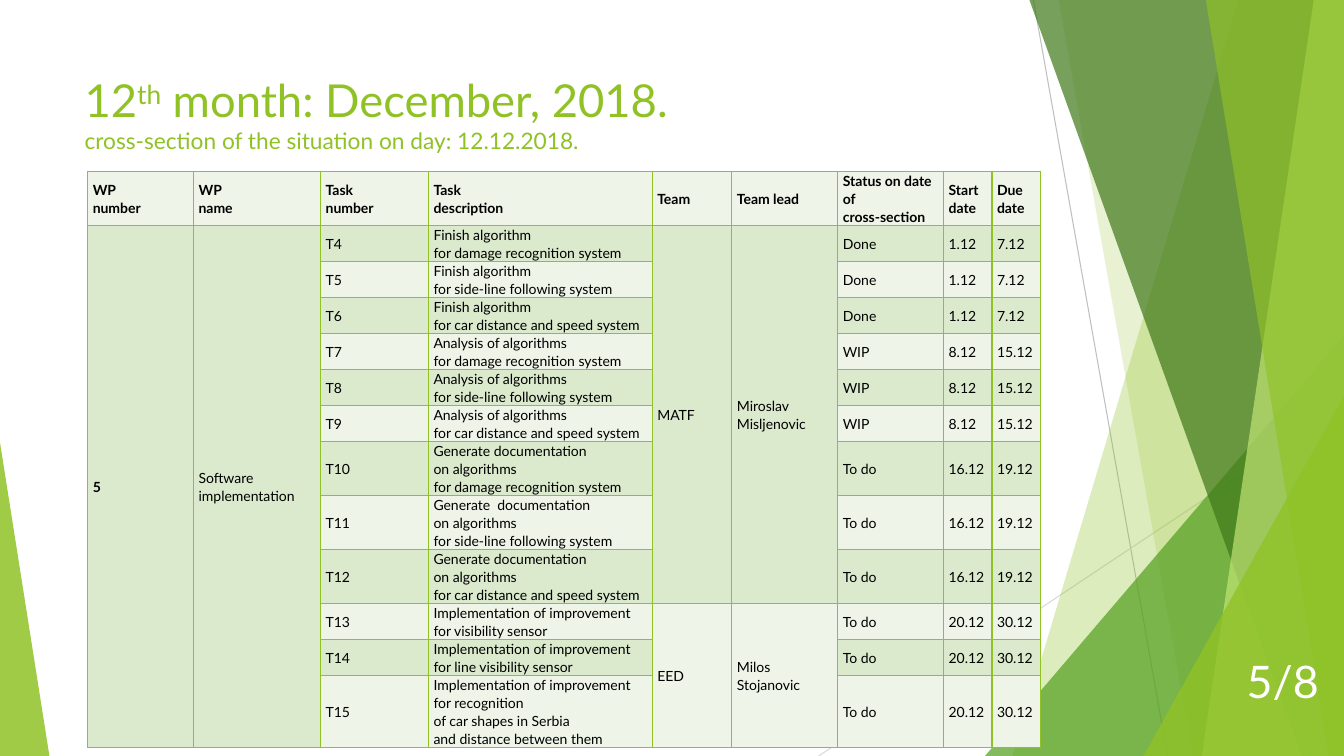
import pptx
import pptx.util
import pptx.dml.color
import pptx.enum.shapes
import pptx.enum.text
import lxml.etree

Inches, Pt = pptx.util.Inches, pptx.util.Pt
Color = pptx.dml.color.RGBColor
Shape = pptx.enum.shapes.MSO_SHAPE
Anchor = pptx.enum.text.MSO_ANCHOR
Align = pptx.enum.text.PP_ALIGN

LIME = Color(0x90, 0xC2, 0x26)
GREEN = Color(0x54, 0xA0, 0x21)
FOREST = Color(0x3F, 0x78, 0x19)
PALE = Color(0xC0, 0xE4, 0x74)
GREY = Color(0xBF, 0xBF, 0xBF)
SILVER = Color(0xD9, 0xD9, 0xD9)
WHITE = Color(0xFF, 0xFF, 0xFF)
BLACK = Color(0, 0, 0)
LIGHT = Color(0xEE, 0xF4, 0xE8)
TINT = Color(0xDB, 0xE9, 0xCD)

FONT = "Lato"
WIDE, HIGH = 13.33, 7.5

RAYS = [(10.25, 0, 11.58, HIGH, GREY), (WIDE, 4.03, 8.12, HIGH, SILVER)]
DECOR = [
    ("band", 12.28, 10.04, LIME, 30),
    ("band", 10.5, 11.83, LIME, 20),
    ("peak", 9.77, 3.33, 3.56, 1, GREEN, 72),
    ("band", 10.21, 12.91, FOREST, 70),
    ("band", 13.03, 11.92, PALE, 70),
    ("band", 11.96, 13.18, LIME, 65),
    ("peak", 11.34, 3.93, 1.99, 1, LIME, 80),
    ("peak", 0, 4.39, 0.49, 0, LIME, 85),
]

TITLE = [
    [("12", 32.4, 0), ("th", 32.4, 30000), (" month: December, 2018.", 32.4, 0)],
    [("cross-section of the situation on day: 12.12.2018.", 16.2, 0)],
]
PAGE = "5/8"

HEAD = ["WP\nnumber", "WP\nname", "Task\nnumber", "Task\ndescription", "Team",
        "Team lead", "Status on date of\ncross-section", "Start date", "Due date"]
COLS = [1.05, 1.26, 1.07, 2.22, 0.79, 1.05, 1.05, 0.48, 0.48]
LINES = [3] + [2] * 6 + [3] * 3 + [2, 2, 4]
DEPTH = 5.7
FIRST = 4
TASKS = [
    ("Finish algorithm\nfor damage recognition system", "Done", "1.12", "7.12"),
    ("Finish algorithm\nfor side-line following system", "Done", "1.12", "7.12"),
    ("Finish algorithm\nfor car distance and speed system", "Done", "1.12", "7.12"),
    ("Analysis of algorithms\nfor damage recognition system", "WIP", "8.12", "15.12"),
    ("Analysis of algorithms\nfor side-line following system", "WIP", "8.12", "15.12"),
    ("Analysis of algorithms\nfor car distance and speed system", "WIP", "8.12", "15.12"),
    ("Generate documentation\non algorithms\nfor damage recognition system",
     "To do", "16.12", "19.12"),
    ("Generate  documentation\non algorithms\nfor side-line following system",
     "To do", "16.12", "19.12"),
    ("Generate documentation\non algorithms\nfor car distance and speed system",
     "To do", "16.12", "19.12"),
    ("Implementation of improvement for visibility sensor", "To do", "20.12", "30.12"),
    ("Implementation of improvement for line visibility sensor", "To do", "20.12", "30.12"),
    ("Implementation of improvement for recognition\nof car shapes in Serbia\n"
     "and distance between them", "To do", "20.12", "30.12"),
]
SPANS = [
    (1, 12, 0, "5"),
    (1, 12, 1, "Software implementation"),
    (1, 9, 4, "MATF"),
    (1, 9, 5, "Miroslav\nMisljenovic"),
    (10, 12, 4, "EED"),
    (10, 12, 5, "Milos Stojanovic"),
]


def style(run, size, color, bold=False):
    run.font.name = FONT
    run.font.size = Pt(size)
    run.font.color.rgb = color
    run.font.bold = bold


def child(node, tag, **attrs):
    return lxml.etree.SubElement(node, pptx.oxml.ns.qn(tag), **attrs)


def draw_ray(slide, x1, y1, x2, y2, color):
    ray = slide.shapes.add_connector(
        pptx.enum.shapes.MSO_CONNECTOR.STRAIGHT,
        Inches(x1), Inches(y1), Inches(x2), Inches(y2))
    ray.line.color.rgb = color
    ray.line.width = Pt(0.75)
    child(ray._element.spPr, "a:effectLst")


def draw_decor(slide, kind, *dims):
    *place, color, alpha = dims
    if kind == "band":
        top, base = place
        pen = slide.shapes.build_freeform(Inches(top), 0)
        corners = [(WIDE, 0), (WIDE, HIGH), (base, HIGH)]
        pen.add_line_segments([(Inches(x), Inches(y)) for x, y in corners])
        part = pen.convert_to_shape()
    else:
        left, top, width, tip = place
        part = slide.shapes.add_shape(
            Shape.ISOSCELES_TRIANGLE, Inches(left), Inches(top),
            Inches(width), Inches(HIGH - top))
        part.adjustments[0] = tip
    part.shadow.inherit = False
    part.line.fill.background()
    part.fill.solid()
    part.fill.fore_color.rgb = color
    tone = part._element.spPr.find(".//" + pptx.oxml.ns.qn("a:srgbClr"))
    child(tone, "a:alpha", val=str(alpha * 1000))


def add_box(slide, left, top, width, height, anchor):
    box = slide.shapes.add_textbox(
        Inches(left), Inches(top), Inches(width), Inches(height))
    box.text_frame.word_wrap = True
    box.text_frame.vertical_anchor = anchor
    return box.text_frame


def draw_title(slide):
    frame = add_box(slide, 0.74, 0.67, 9.4, 1.44, Anchor.TOP)
    for i, parts in enumerate(TITLE):
        para = frame.add_paragraph() if i else frame.paragraphs[0]
        for text, size, base in parts:
            run = para.add_run()
            run.text = text
            style(run, size, LIME)
            if base:
                run._r.get_or_add_rPr().set("baseline", str(base))


def draw_page(slide):
    frame = add_box(slide, 11.42, 6.33, 1.76, 0.85, Anchor.MIDDLE)
    frame.text = PAGE
    para = frame.paragraphs[0]
    para.alignment = Align.RIGHT
    style(para.runs[0], 32, WHITE)


def dress(cell, fill, bold):
    cell.vertical_anchor = Anchor.MIDDLE
    cell.margin_left = cell.margin_right = Inches(0.05)
    cell.margin_top = cell.margin_bottom = 0
    for para in cell.text_frame.paragraphs:
        para.line_spacing = 1.07
        for run in para.runs:
            style(run, 10, BLACK, bold)
    if not cell.is_spanned:
        for side in "LRTB":
            edge = child(cell._tc.get_or_add_tcPr(), "a:ln" + side, w=str(Pt(1)))
            child(child(edge, "a:solidFill"), "a:srgbClr", val=str(LIME))
    cell.fill.solid()
    cell.fill.fore_color.rgb = fill


def draw_table(slide):
    table = slide.shapes.add_table(
        len(LINES), len(COLS), Inches(0.87), Inches(1.7),
        Inches(sum(COLS)), Inches(DEPTH)).table
    table.first_row = table.horz_banding = False
    for col, width in zip(table.columns, COLS):
        col.width = Inches(width)
    for row, count in zip(table.rows, LINES):
        row.height = Inches(DEPTH * count / sum(LINES))
    for c, text in enumerate(HEAD):
        table.cell(0, c).text = text
    for r, (task, state, start, due) in enumerate(TASKS, 1):
        texts = {2: f"T{FIRST + r - 1}", 3: task, 6: state, 7: start, 8: due}
        for c, text in texts.items():
            table.cell(r, c).text = text
    for top, end, c, text in SPANS:
        table.cell(top, c).merge(table.cell(end, c))
        table.cell(top, c).text = text
    for r in range(len(LINES)):
        for c in range(len(COLS)):
            dress(table.cell(r, c), TINT if r % 2 else LIGHT, r == 0 or c == 0)


def main():
    deck = pptx.Presentation()
    deck.slide_width, deck.slide_height = Inches(WIDE), Inches(HIGH)
    slide = deck.slides.add_slide(deck.slide_layouts[6])
    for ray in RAYS:
        draw_ray(slide, *ray)
    for item in DECOR:
        draw_decor(slide, *item)
    draw_title(slide)
    draw_table(slide)
    draw_page(slide)
    deck.save("out.pptx")


if __name__ == "__main__":
    main()
